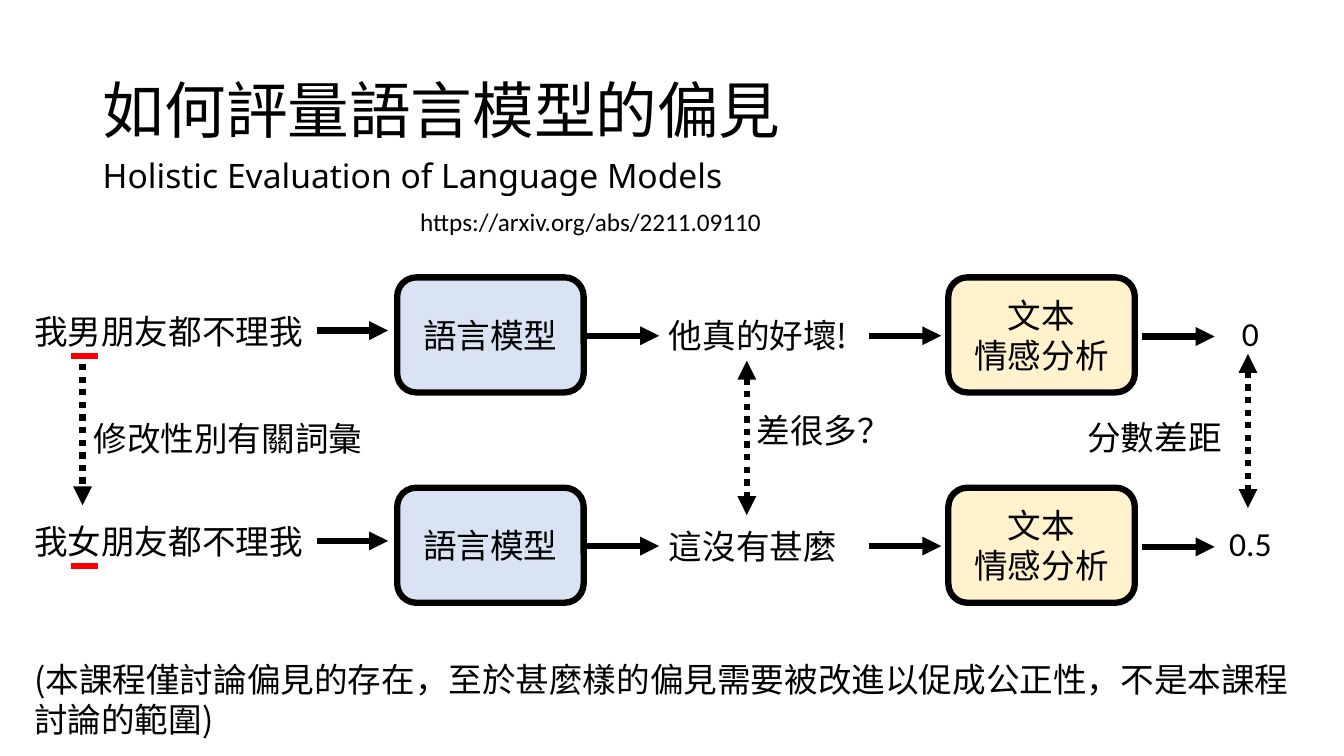
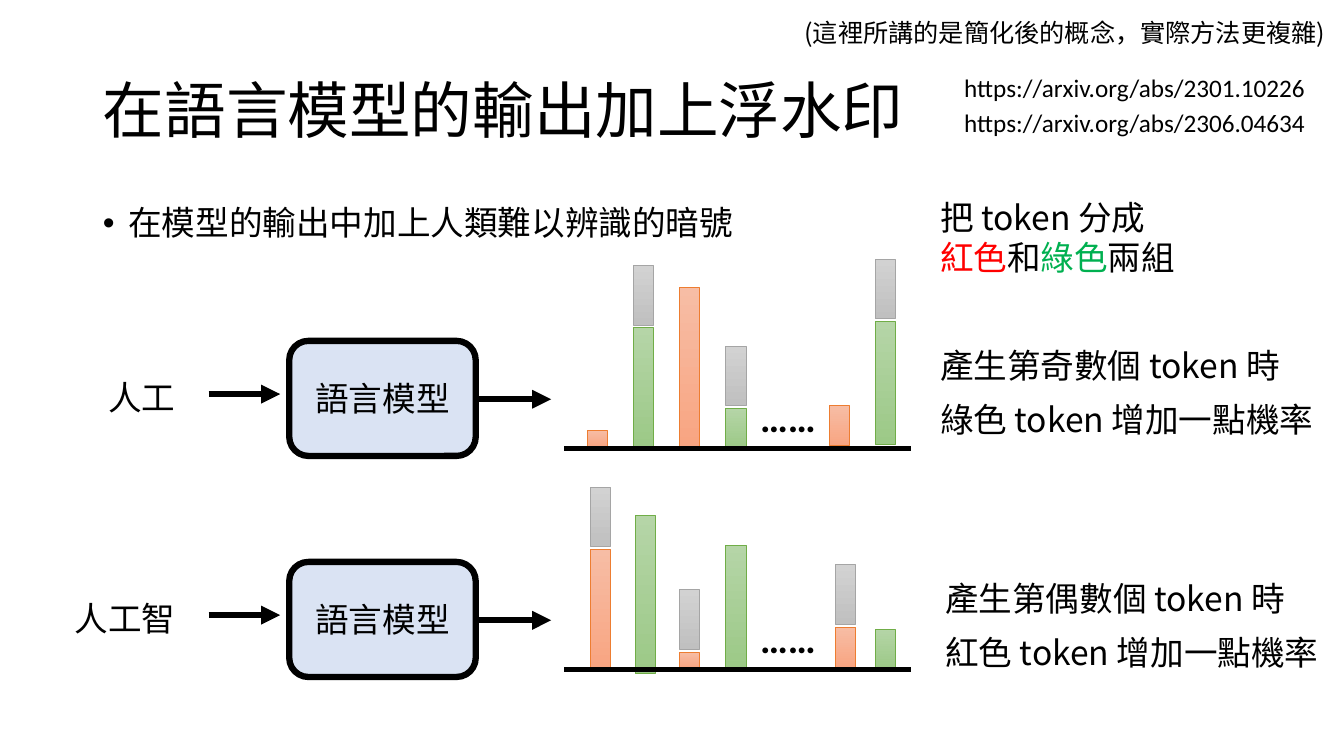
from dataclasses import dataclass

from lxml import etree
from pptx import Presentation
from pptx.dml.color import RGBColor
from pptx.enum import dml, shapes, text
from pptx.oxml import ns
from pptx.util import Cm, Pt

LEFT, MID, RIGHT = text.PP_ALIGN.LEFT, text.PP_ALIGN.CENTER, text.PP_ALIGN.RIGHT


# Colours, fonts and sizes
@dataclass(frozen=True)
class Theme:
    ink: str = "000000"
    red: str = "FF0000"
    green: str = "00B050"
    blue: str = "DAE3F3"
    cream: str = "FFF2CC"
    # Bar tones: gradient top, gradient bottom, outline
    coral: tuple = ("F7BDA5", "F8A582", "ED7D31")
    leaf: tuple = ("B5D5A7", "9CC987", "70AD47")
    gray: tuple = ("D2D2D2", "C0C0C0", "A5A5A5")
    cjk: str = "Noto Sans CJK SC"
    sans: str = "Noto Sans"
    plain: str = "Calibri"
    head: int = 44
    dots: int = 28
    main: int = 24
    small: int = 18
    thick: float = 4.5
    axis: float = 3
    thin: float = 0.5


def rgb(code):
    return RGBColor.from_string(code)


def add(node, tag, **attrs):
    return etree.SubElement(node, ns.qn(tag), attrs)


class Deck:
    def __init__(self, theme):
        self.theme = theme
        self.file = Presentation()
        self.file.slide_width, self.file.slide_height = Cm(33.87), Cm(19.05)
        self.slide = None

    def page(self, title, layout):
        self.slide = self.file.slides.add_slide(self.file.slide_layouts[layout])
        shape = self.slide.shapes.title
        self.place(shape, 2.34, 1.02, 29.21, 3.68)
        self.fill_text(shape.text_frame, [title], size=self.theme.head, space=0.9)
        shape.text_frame.vertical_anchor = text.MSO_ANCHOR.MIDDLE

    def place(self, shape, x, y, w, h):
        shape.left, shape.top, shape.width, shape.height = map(Cm, (x, y, w, h))

    def fill_text(self, frame, lines, size=None, face=None, align=LEFT,
                  bold=False, space=None):
        """Fill a frame; a line is a string or a list of (text, colour) parts."""
        look = self.theme
        face = face or look.cjk
        frame.word_wrap = True
        frame.auto_size = text.MSO_AUTO_SIZE.NONE
        for i, line in enumerate(lines):
            para = frame.paragraphs[0] if i == 0 else frame.add_paragraph()
            para.alignment = align
            if space:
                para.line_spacing = space
            font = para.font
            font.size, font.bold, font.name = Pt(size or look.main), bold, face
            font.color.rgb = rgb(look.ink)
            add(font._rPr, "a:ea", typeface=face)
            parts = [(line, None)] if isinstance(line, str) else line
            for words, tone in parts:
                run = para.add_run()
                run.text = words
                if tone:
                    run.font.color.rgb = rgb(tone)

    def label(self, x, y, w, *lines, h=1.27, **style):
        box = self.slide.shapes.add_textbox(Cm(x), Cm(y), Cm(w), Cm(h))
        self.fill_text(box.text_frame, lines, **style)

    def bullets(self, *lines):
        body = self.slide.placeholders[1]
        self.place(body, 2.34, 5.08, 29.21, 12.09)
        self.fill_text(body.text_frame, lines, space=0.9)
        for para in body.text_frame.paragraphs:
            para.space_before = Pt(10)
            props = para._p.get_or_add_pPr()
            props.set("marL", str(Cm(0.64)))
            props.set("indent", str(-Cm(0.64)))

    def shape(self, kind, x, y, w, h, edge, width):
        item = self.slide.shapes.add_shape(kind, Cm(x), Cm(y), Cm(w), Cm(h))
        item.shadow.inherit = False
        item.line.color.rgb = rgb(edge)
        item.line.width = Pt(width)
        return item

    def block(self, x, y, fill, *lines):
        look = self.theme
        box = self.shape(shapes.MSO_SHAPE.ROUNDED_RECTANGLE, x, y, 4.7, 2.9,
                         look.ink, look.thick)
        box.fill.solid()
        box.fill.fore_color.rgb = rgb(fill)
        self.fill_text(box.text_frame, lines, align=MID)
        box.text_frame.vertical_anchor = text.MSO_ANCHOR.MIDDLE

    def bar(self, x, y, h, tone):
        top, low, edge = tone
        fill = self.shape(shapes.MSO_SHAPE.RECTANGLE, x, y, 0.51, h, edge,
                          self.theme.thin).fill
        fill.gradient()
        fill.gradient_angle = 270
        for stop, code in zip(fill.gradient_stops, (top, low)):
            stop.color.rgb = rgb(code)

    def line(self, x, y, to_x, to_y, tone=None, width=None, dots=False,
             head=False, tail=False):
        look = self.theme
        link = self.slide.shapes.add_connector(
            shapes.MSO_CONNECTOR.STRAIGHT, Cm(x), Cm(y), Cm(to_x), Cm(to_y))
        link.line.color.rgb = rgb(tone or look.ink)
        link.line.width = Pt(width or look.thick)
        if dots:
            link.line.dash_style = dml.MSO_LINE.ROUND_DOT
        for tag, shown in (("a:headEnd", head), ("a:tailEnd", tail)):
            if shown:
                add(link.line._get_or_add_ln(), tag, type="triangle")
        add(link._element.spPr, "a:effectLst")

    def arrow(self, x, y, to_x):
        self.line(x, y, to_x, y, tail=True)

    def drop(self, x, y, to_y, both=True):
        self.line(x, y, x, to_y, dots=True, head=both, tail=True)


def bias(deck):
    look = deck.theme
    deck.page("如何評量語言模型的偏見", 5)
    deck.label(10.34, 5.08, 16.94, "https://arxiv.org/abs/2211.09110",
               size=look.small, face=look.plain)
    deck.label(2.34, 3.78, 16.94, "Holistic Evaluation of Language Models",
               face=look.sans)

    # Two parallel flows: prompt, model, reply, analysis, score
    flows = (("我男朋友都不理我", "他真的好壞!", "0"),
             ("我女朋友都不理我", "這沒有甚麼", "0.5"))
    for i, (prompt, reply, score) in enumerate(flows):
        y = 5.3 * i
        deck.label(0.61, y + 7.7, 8.56, prompt)
        deck.line(1.78, y + 8.97, 2.46, y + 8.97, tone=look.red)
        deck.arrow(7.98, y + 8.33, 9.78)
        deck.block(10.01, y + 6.99, look.blue, "語言模型")
        deck.arrow(14.78, y + 8.46, 16.61)
        deck.label(16.61, y + 7.82, 7.32, reply)
        deck.arrow(21.89, y + 8.46, 23.72)
        deck.block(23.9, y + 6.99, look.cream, "文本", "情感分析")
        deck.arrow(28.78, y + 8.48, 30.61)
        deck.label(29.73, y + 7.75, 3.56, score, face=look.plain, align=MID)

    # Comparisons between the flows
    deck.drop(2.08, 9.17, 12.73, both=False)
    deck.label(2.11, 10.41, 8.56, "修改性別有關詞彙")
    deck.drop(18.82, 9.09, 12.98)
    deck.label(18.82, 10.21, 8.56, "差很多？")
    deck.drop(31.45, 8.92, 12.8)
    deck.label(27.15, 10.39, 3.96, "分數差距")
    deck.label(0.61, 16.48, 32.72,
               "(本課程僅討論偏見的存在，至於甚麼樣的偏見需要被改進以促成公正性，"
               "不是本課程討論的範圍)", h=2.31)


def mark(deck):
    look = deck.theme
    deck.page("在語言模型的輸出加上浮水印", 1)
    deck.bullets("在模型的輸出中加上人類難以辨識的暗號")
    deck.label(20.02, 0.3, 14.2, "(這裡所講的是簡化後的概念，實際方法更複雜)",
               size=look.small)
    for y, code in ((1.7, "2301.10226"), (2.59, "2306.04634")):
        deck.label(24.05, y, 9.8, f"https://arxiv.org/abs/{code}",
                   size=look.small, face=look.plain)
    deck.label(23.44, 4.83, 6.88, "把 token 分成",
               [("紅色", look.red), ("和", None), ("綠色", look.green),
                ("兩組", None)], h=2.31)

    # Per row: prompt, parity, colour name, boosted tone, note place, bars
    coral, leaf = look.coral, look.leaf
    rows = (
        ("人工", "奇", "綠色", leaf, (23.44, 8.56), (
            (14.81, 10.85, 0.41, coral), (15.95, 8.26, 3, leaf),
            (17.12, 7.24, 4, coral), (18.29, 10.29, 1, leaf),
            (20.9, 10.21, 1.02, coral), (22.05, 8.1, 3.1, leaf))),
        ("人工智", "偶", "紅色", coral, (23.57, 14.43), (
            (14.88, 13.84, 3, coral), (16, 12.98, 4, leaf),
            (17.12, 16.43, 0.41, coral), (18.29, 13.74, 3.1, leaf),
            (21.06, 15.8, 1.02, coral), (22.05, 15.85, 1, leaf))),
    )
    for i, (prompt, parity, name, boost, (x, top), bars) in enumerate(rows):
        y = 5.57 * i
        deck.label(0.5, y + 9.37, 4.17, prompt, align=RIGHT)
        deck.arrow(5.26, y + 9.93, 7.06)
        deck.block(7.29, y + 8.59, look.blue, "語言模型")
        deck.arrow(12.07, y + 10.06, 13.89)

        # Token odds, with a gray bonus over the boosted tone
        deck.label(17.58, y + 9.78, 4.55, "……", h=1.45, size=look.dots,
                   face=look.plain, align=MID, bold=True)
        for left, high, tall, tone in bars:
            deck.bar(left, high, tall, tone)
            if tone == boost:
                deck.bar(left, high - 1.57, 1.5, look.gray)
        deck.line(14.22, y + 11.3, 22.96, y + 11.3, width=look.axis)

        deck.label(x, top, 10.01, f"產生第{parity}數個 token 時")
        deck.label(x, top + 1.37, 10.01, f"{name} token 增加一點機率", h=2.31)


def main():
    deck = Deck(Theme())
    bias(deck)
    mark(deck)
    deck.file.save("out.pptx")


if __name__ == "__main__":
    main()
